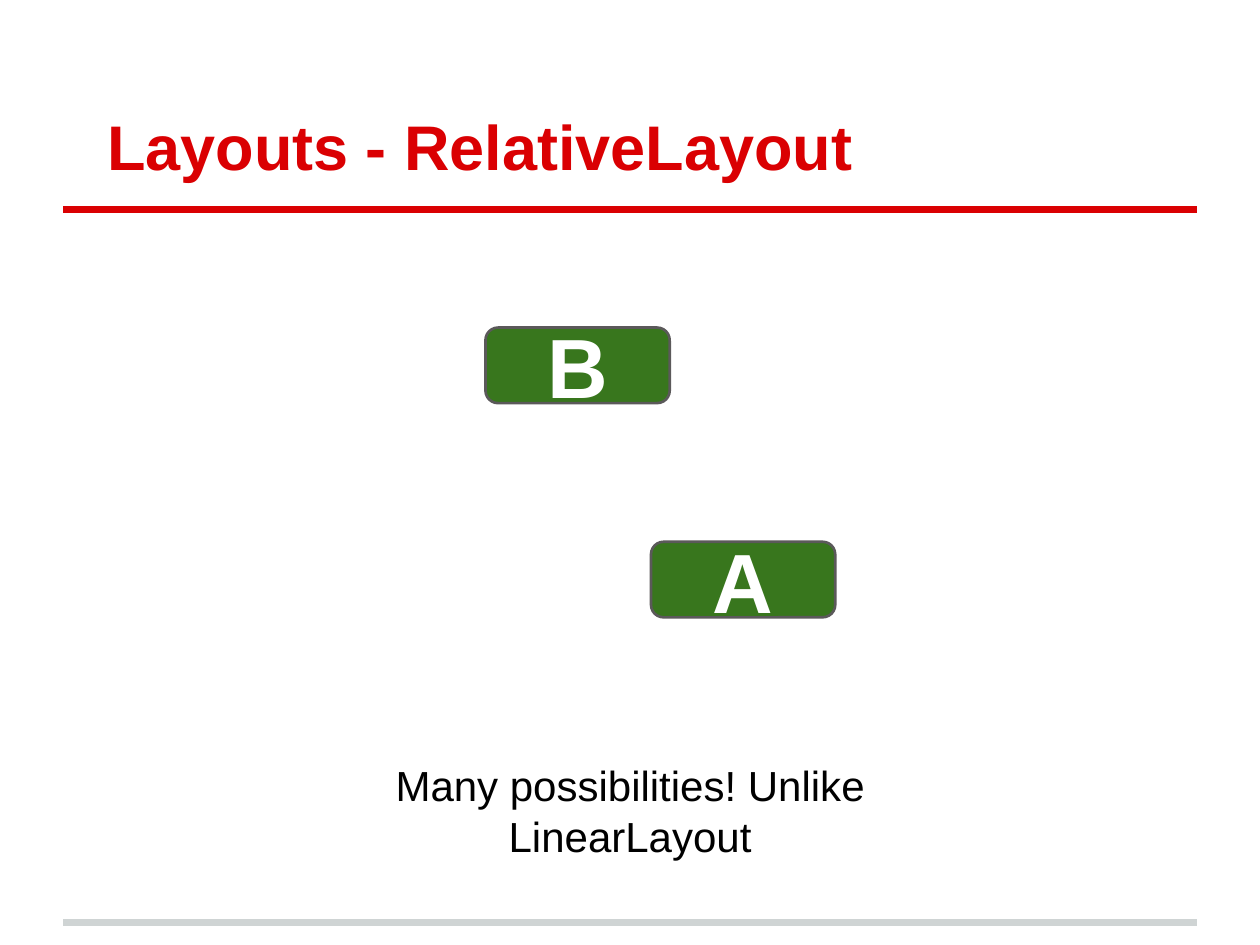
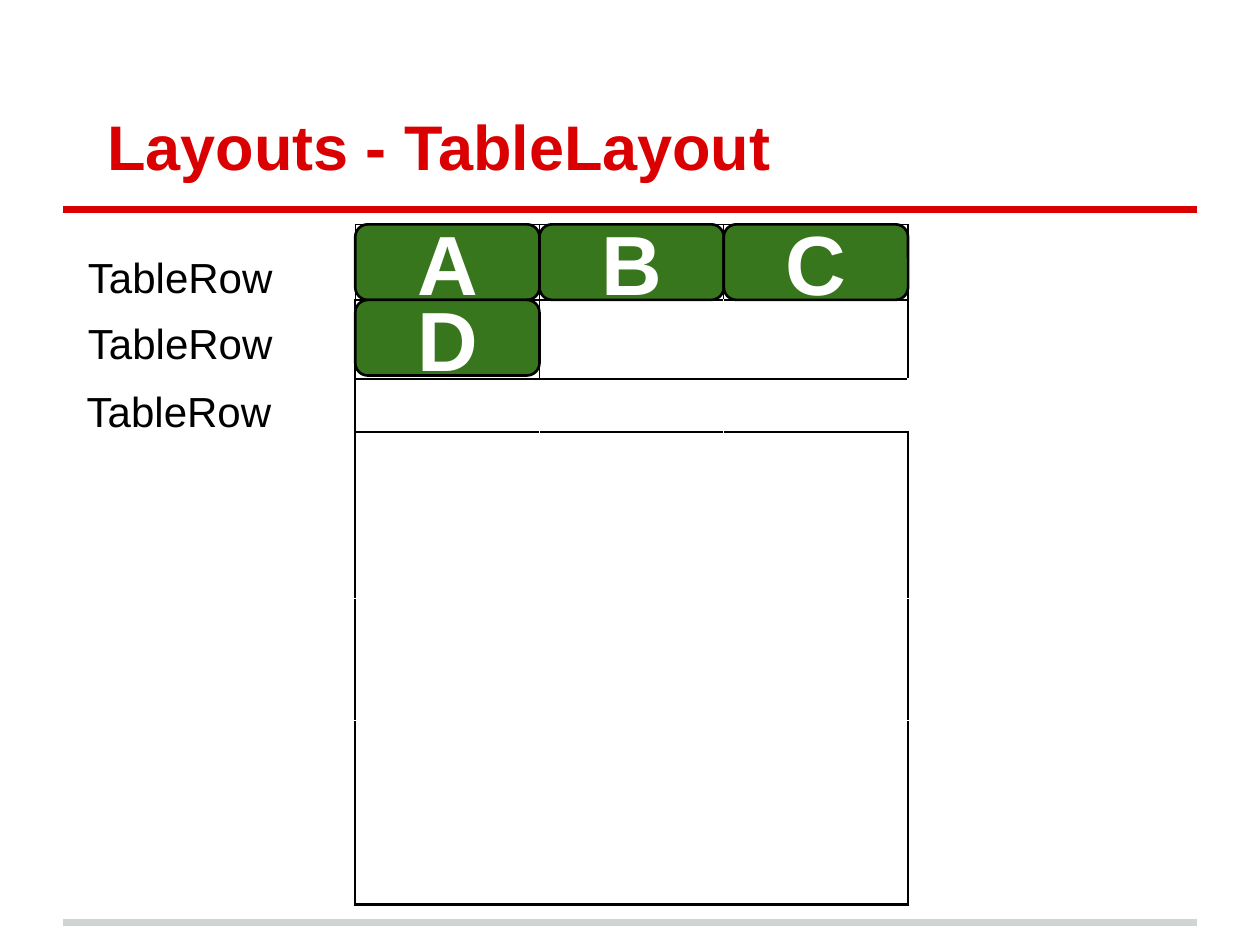
from lxml.etree import SubElement
from pptx import Presentation
from pptx.dml.color import RGBColor
from pptx.enum.shapes import MSO_CONNECTOR, MSO_SHAPE
from pptx.enum.text import MSO_ANCHOR, MSO_AUTO_SIZE, PP_ALIGN
from pptx.oxml.ns import qn
from pptx.util import Pt

RED, GREY, GREEN = "DA0002", "CFD4D4", "38761D"
BLACK, WHITE, SLATE = "000000", "FFFFFF", "5B595A"
CELL_W, CELL_H = 105.3, 43.2
INSET = 7.2


def color(code):
    return RGBColor.from_string(code)


def write(shape, text, size, code, bold=False, align=PP_ALIGN.LEFT,
          anchor=MSO_ANCHOR.TOP, indent=0):
    frame = shape.text_frame
    frame.word_wrap = True
    frame.auto_size = MSO_AUTO_SIZE.NONE
    frame.vertical_anchor = anchor
    frame.margin_left = Pt(INSET + indent)
    frame.margin_right = frame.margin_top = frame.margin_bottom = Pt(INSET)
    frame.text = text
    para = frame.paragraphs[0]
    para.alignment = align
    para.font.name = "Arial"
    para.font.size = Pt(size)
    para.font.bold = bold
    para.font.color.rgb = color(code)


def rule(slide, y, code):
    line = slide.shapes.add_connector(
        MSO_CONNECTOR.STRAIGHT, Pt(36), Pt(y), Pt(684), Pt(y))
    line.line.color.rgb = color(code)
    line.line.width = Pt(4)
    SubElement(line._element.spPr, qn("a:effectLst"))


def label(slide, text, box, align=PP_ALIGN.LEFT):
    note = slide.shapes.add_textbox(*map(Pt, box))
    write(note, text, 24, BLACK, align=align)


def button(slide, text, x, y, edge):
    shape = slide.shapes.add_shape(
        MSO_SHAPE.ROUNDED_RECTANGLE, Pt(x), Pt(y), Pt(CELL_W), Pt(CELL_H))
    shape.shadow.inherit = False
    shape.fill.solid()
    shape.fill.fore_color.rgb = color(GREEN)
    shape.line.color.rgb = color(edge)
    shape.line.width = Pt(1.5)
    write(shape, text, 48, WHITE, True, PP_ALIGN.CENTER, MSO_ANCHOR.MIDDLE)


def base(deck, text):
    """Add a slide with the shared rules and title."""
    slide = deck.slides.add_slide(deck.slide_layouts[5])
    rule(slide, 527, GREY)
    rule(slide, 120, RED)
    title = slide.shapes.title
    title.left, title.top = Pt(36), Pt(21.6)
    title.width, title.height = Pt(648), Pt(90)
    write(title, text, 36, RED, True, anchor=MSO_ANCHOR.BOTTOM, indent=18)
    return slide


def border(cell, sides):
    """Draw the left, right, top and bottom edges; None leaves one out."""
    props = cell._tc.get_or_add_tcPr()
    for tag, side in zip(("a:lnL", "a:lnR", "a:lnT", "a:lnB"), sides):
        if side:
            code, width = side
            edge = SubElement(props, qn(tag), w=str(Pt(width)))
            fill = SubElement(edge, qn("a:solidFill"))
            SubElement(fill, qn("a:srgbClr"), val=code)
    cell.fill.background()


def grid(slide, x, y):
    thin, thick, blank = (BLACK, 0.75), (BLACK, 1.5), (WHITE, 0.75)
    heights = [CELL_H, 45.2, 30.3, 95, 69.8, 105.3]
    # Edges across, from top to bottom, and edges down, for each row
    across = [thin, thick, thin, thin, blank, blank, thick]
    down = [[thin] * 4,
            [thick, thin, blank, thick],
            [thick, None, None, thick]]
    down += [[thick, blank, blank, thick]] * 3

    table = slide.shapes.add_table(
        len(heights), 3, Pt(x), Pt(y), Pt(3 * CELL_W), Pt(sum(heights))).table
    table.first_row = table.horz_banding = False
    for col in table.columns:
        col.width = Pt(CELL_W)
    for r, height in enumerate(heights):
        table.rows[r].height = Pt(height)
        for c in range(3):
            border(table.cell(r, c),
                   (down[r][c], down[r][c + 1], across[r], across[r + 1]))
    table.cell(2, 0).merge(table.cell(2, 2))


def relative(deck):
    slide = base(deck, "Layouts - RelativeLayout")
    button(slide, "A", 372, 309.6, SLATE)
    button(slide, "B", 277.4, 187.2, SLATE)
    label(slide, "Many possibilities! Unlike LinearLayout",
          (206.4, 427, 307.4, 67), PP_ALIGN.CENTER)


def tabular(deck):
    slide = base(deck, "Layouts - TableLayout")
    x, y = 203, 128.2
    grid(slide, x, y)
    # Buttons fill the cells in reading order
    for i, name in enumerate("ABCD"):
        row, col = divmod(i, 3)
        button(slide, name, x + col * CELL_W, y + row * CELL_H, BLACK)
    for left, top in ((43.2, 136.8), (43.2, 174.2), (42.5, 213.1)):
        label(slide, "TableRow", (left, top, 130, 41))


def main():
    deck = Presentation()
    deck.slide_width, deck.slide_height = Pt(720), Pt(540)
    relative(deck)
    tabular(deck)
    deck.save("out.pptx")


if __name__ == "__main__":
    main()
